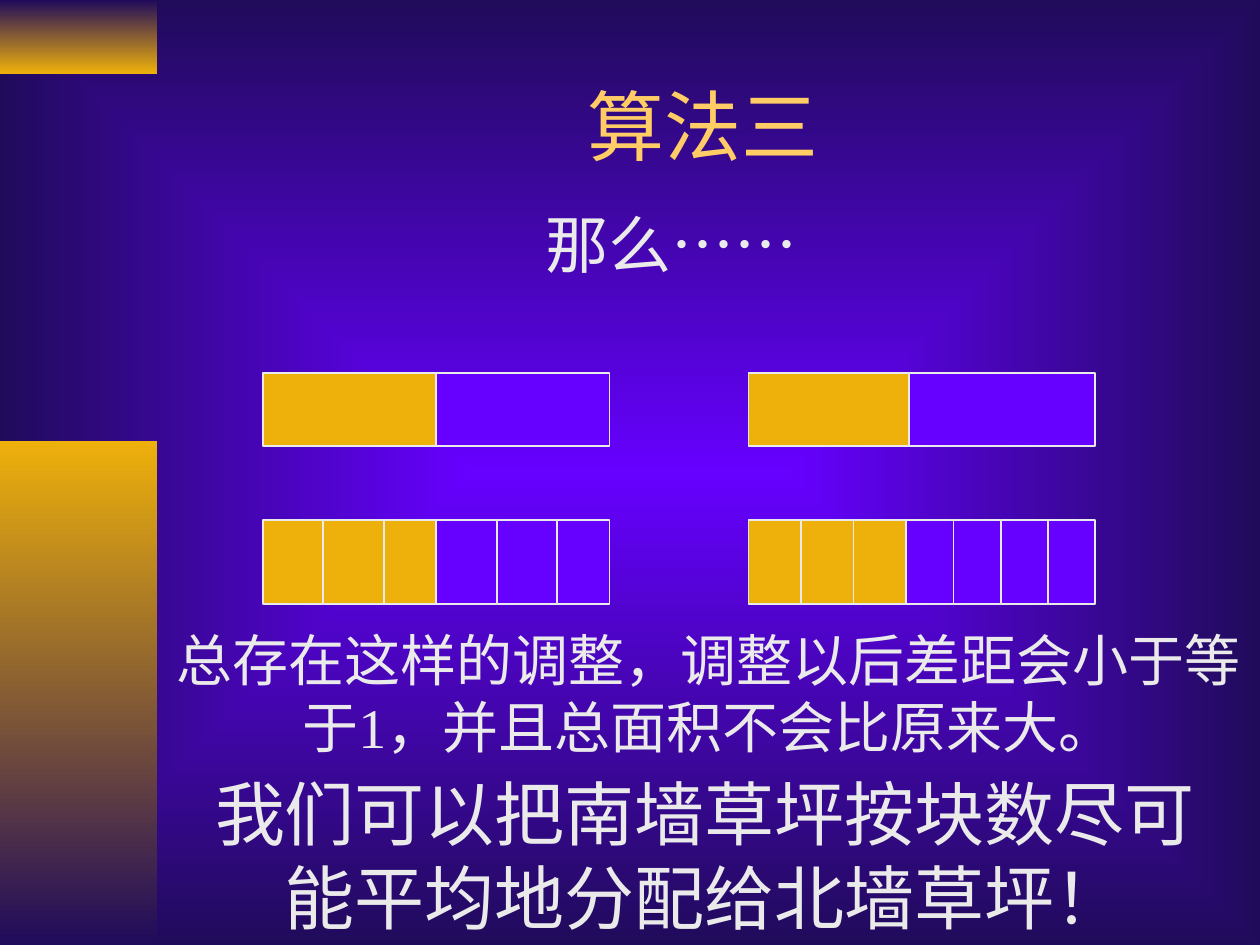
import itertools
import pptx
import pptx.util
import pptx.dml.color
import pptx.enum.shapes
import pptx.enum.text
import pptx.oxml

HUES = {"gold": "EEB00B", "violet": "6600FF", "night": "200B5B",
        "title": "FFCC66", "text": "EAEAEA"}
COLS, ROWS = 120, 90  # grid units of a twelfth of an inch
SERIF, SANS = "Times New Roman", "Noto Sans CJK SC"


def rgb(hue):
    return pptx.dml.color.RGBColor.from_string(HUES[hue])


class Deck:
    def __init__(self):
        self.prs = pptx.Presentation()
        self.prs.slide_width = pptx.util.Inches(10)
        self.prs.slide_height = pptx.util.Inches(7.5)
        self.slide = self.prs.slides.add_slide(self.prs.slide_layouts[5])

    def box(self, col, row, wide, high):
        dx, dy = self.prs.slide_width / COLS, self.prs.slide_height / ROWS
        return int(col * dx), int(row * dy), int(wide * dx), int(high * dy)

    def blend(self, fill, hues):
        fill.gradient()
        for stop, hue, pos in zip(fill.gradient_stops, hues, (0, 1)):
            stop.color.rgb = rgb(hue)
            stop.position = pos

    def back(self, *hues):
        self.blend(self.slide.background.fill, hues)
        grad = self.slide.element.xpath(".//p:bgPr/a:gradFill")[0]
        for lin in grad.xpath("a:lin"):
            grad.remove(lin)
        grad.append(pptx.oxml.parse_xml(
            '<a:path xmlns:a="http://schemas.openxmlformats.org/drawingml/2006/main" path="rect">'
            '<a:fillToRect l="50000" t="50000" r="50000" b="50000"/></a:path>'))

    def rect(self, *place):
        shape = self.slide.shapes.add_shape(
            pptx.enum.shapes.MSO_SHAPE.RECTANGLE, *self.box(*place))
        shape.shadow.inherit = False
        return shape

    def band(self, place, *hues):
        shape = self.rect(*place)
        self.blend(shape.fill, hues)
        shape.fill.gradient_angle = 270
        shape.line.fill.background()

    def cell(self, place, hue):
        shape = self.rect(*place)
        shape.fill.solid()
        shape.fill.fore_color.rgb = rgb(hue)
        shape.line.color.rgb = rgb("text")
        shape.line.width = pptx.util.Pt(1)

    def bar(self, left, row, high, gold, violet):
        """A row of touching cells: gold widths, then violet widths."""
        wides = gold + violet
        lefts = itertools.accumulate(wides, initial=left)
        hues = ["gold"] * len(gold) + ["violet"] * len(violet)
        for col, wide, hue in zip(lefts, wides, hues):
            self.cell((col, row, wide, high), hue)

    def words(self, shape, runs, size, hue, anchor):
        frame = shape.text_frame
        frame.word_wrap = True
        frame.vertical_anchor = anchor
        para = frame.paragraphs[0]
        para.alignment = pptx.enum.text.PP_ALIGN.CENTER
        for text, face in runs:
            run = para.add_run()
            run.text = text
            run.font.color.rgb = rgb(hue)
            form = {"name": face, "size": pptx.util.Pt(size)}
            for key, value in form.items():
                setattr(run.font, key, value)

    def title(self, place, text, size):
        shape = self.slide.shapes.title
        spots = zip(("left", "top", "width", "height"), self.box(*place))
        for key, value in spots:
            setattr(shape, key, value)
        self.words(shape, [(text, SERIF)], size, "title",
                   pptx.enum.text.MSO_ANCHOR.MIDDLE)

    def text(self, place, runs, size):
        shape = self.slide.shapes.add_textbox(*self.box(*place))
        self.words(shape, runs, size, "text", pptx.enum.text.MSO_ANCHOR.TOP)


def main():
    deck = Deck()

    # Background and side bands
    deck.back("violet", "night")
    deck.band((0, 0, 15, 7), "night", "gold")
    deck.band((0, 42, 15, 48), "gold", "night")

    # Heading and lead-in
    deck.title((16, 4, 102, 15.8), "算法三", 44)
    deck.text((22, 19, 84, 8.4), [("那么……", SERIF)], 36)

    # Lawn bars: whole above, split into blocks below
    left, right = 25.05, 71.3
    thirds = [5.75, 5.75, 5]
    deck.bar(left, 35.5, 7, [16.5], [16.5])
    deck.bar(left, 49.5, 8, thirds, thirds)
    deck.bar(right, 35.5, 7, [15.25], [17.75])
    deck.bar(right, 49.5, 8, [5] * 3, [4.5] * 4)

    # Conclusions
    deck.text((15, 59, 105, 14), [
        ("总存在这样的调整，调整以后差距会小于等于1，并且总面积不会比原来大。", SERIF)], 32)
    deck.text((19, 72.8, 96.2, 17.3), [
        ("我们可以把南墙草坪", SERIF), ("按块数", SANS),
        ("尽可能平均地分配给北墙草坪！", SERIF)], 40)

    deck.prs.save("out.pptx")


if __name__ == "__main__":
    main()
